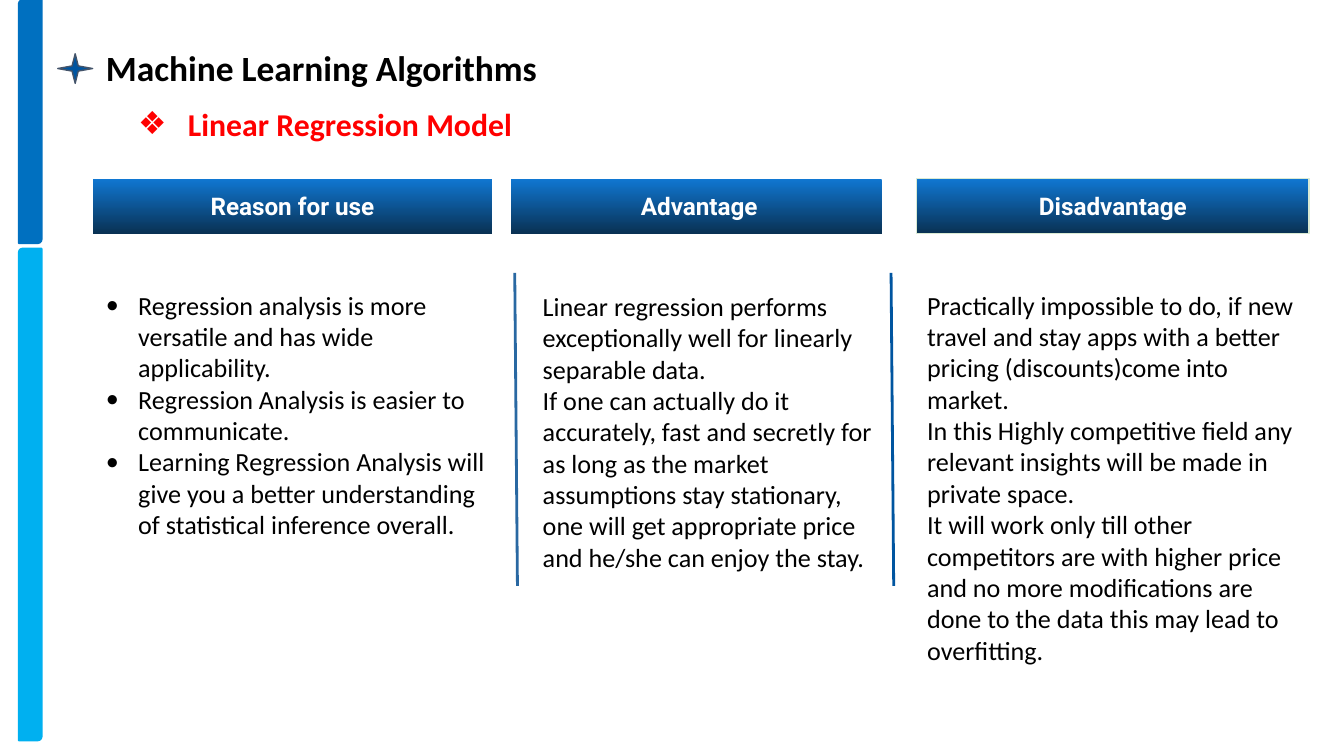
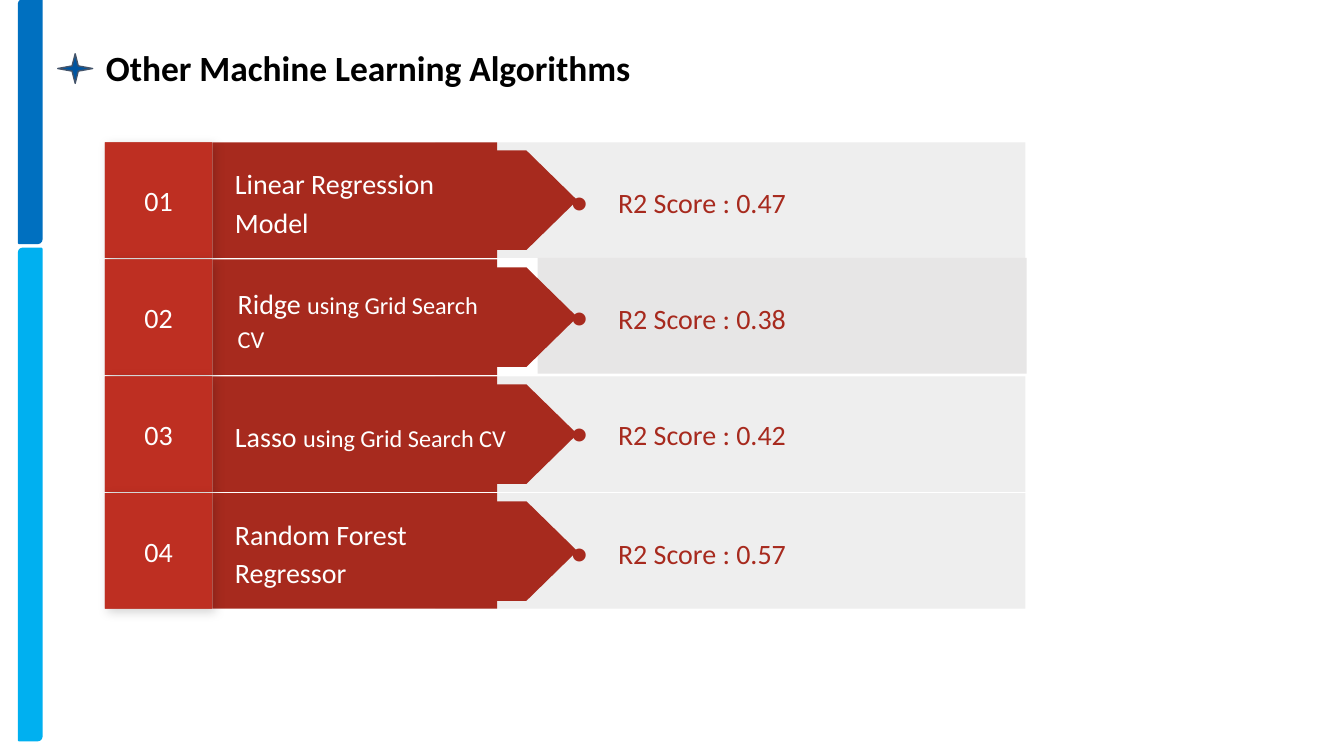
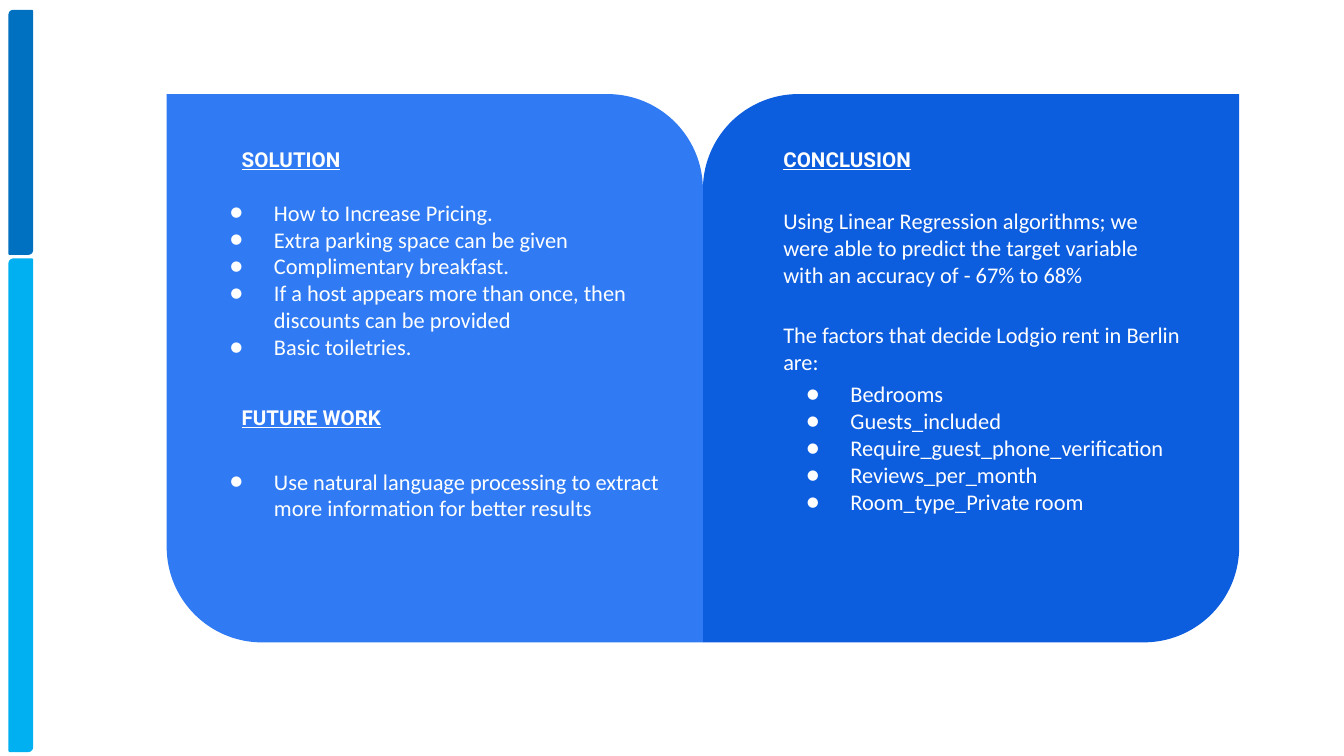
import pptx
import pptx.util
import pptx.dml.color
import pptx.enum.shapes
import pptx.enum.text
import pptx.oxml
import pptx.oxml.ns

Inches = pptx.util.Inches
Pt = pptx.util.Pt
RGB = pptx.dml.color.RGBColor
KIND = pptx.enum.shapes.MSO_SHAPE
ANCHOR = pptx.enum.text.MSO_ANCHOR
ALIGN = pptx.enum.text.PP_ALIGN

BLACK = RGB(0x00, 0x00, 0x00)
WHITE = RGB(0xFF, 0xFF, 0xFF)
RED = RGB(0xFF, 0x00, 0x00)
BLUE = RGB(0x00, 0x70, 0xC0)
CYAN = RGB(0x00, 0xB0, 0xF0)
NAVY = RGB(0x00, 0x55, 0xA0)
STEEL = RGB(0x29, 0x68, 0xA2)
SLATE = RGB(0x44, 0x54, 0x6A)
TOP = RGB(0x10, 0x77, 0xD2)
DEEP = RGB(0x09, 0x31, 0x53)
MINT = RGB(0xD9, 0xEA, 0xD3)
BRICK = RGB(0xA7, 0x2A, 0x1E)
RUST = RGB(0xB0, 0x2C, 0x20)
BRIGHT = RGB(0xBE, 0x2F, 0x22)
PALE = RGB(0xEE, 0xEE, 0xEE)
GREY = RGB(0xE7, 0xE6, 0xE6)
SKY = RGB(0x30, 0x7B, 0xF3)
ROYAL = RGB(0x0D, 0x5D, 0xDF)


def add_xml(parent, tag, body="", attrs=""):
    """Append one DrawingML element to a parent."""
    space = pptx.oxml.ns.nsdecls("a")
    parent.append(pptx.oxml.parse_xml(f"<a:{tag} {space} {attrs}>{body}</a:{tag}>"))


def add_mark(para, mark, color, hang):
    """Give a paragraph a hanging bullet."""
    props = para._p.get_or_add_pPr()
    left, first = hang
    props.set("marL", str(Inches(left)))
    props.set("indent", str(Inches(first)))
    add_xml(props, "buClr", f'<a:srgbClr val="{color}"/>')
    add_xml(props, "buFont", attrs='typeface="Calibri"')
    add_xml(props, "buChar", attrs=f'char="{mark}"')


def write(shape, paras, size=14, color=BLACK, font="Calibri", bold=False, under=False,
          align=ALIGN.LEFT, anchor=ANCHOR.TOP, lead=None, mark=None,
          hang=(0.5, -0.33), plain=0, gaps=None):
    """Fill a shape with paragraphs, each a string or a list of (text, size) runs."""
    frame = shape.text_frame
    frame.word_wrap = True
    frame.vertical_anchor = anchor
    frame.margin_left = frame.margin_right = Inches(0.1)
    frame.margin_top = frame.margin_bottom = Inches(0.1)
    for i, item in enumerate(paras):
        para = frame.paragraphs[0] if i == 0 else frame.add_paragraph()
        para.alignment = align
        if lead:
            para.line_spacing = lead
        if gaps and i in gaps:
            para.space_before = Pt(gaps[i])
        if mark and i >= plain:
            add_mark(para, mark, color, hang)
        for words, points in [(item, size)] if isinstance(item, str) else item:
            run = para.add_run()
            run.text = words
            run.font.name = font
            run.font.size = Pt(points)
            run.font.bold = bold
            run.font.underline = under
            run.font.color.rgb = color


def add_text(slide, box, paras, **form):
    """Add a text box."""
    write(slide.shapes.add_textbox(*map(Inches, box)), paras, **form)


def add_block(slide, kind, box, fill, line=None, width=1, adjust=()):
    """Add a flat preset shape; a list of two fills makes a downward gradient."""
    shape = slide.shapes.add_shape(kind, *map(Inches, box))
    shape.shadow.inherit = False
    if isinstance(fill, list):
        shape.fill.gradient()
        shape.fill.gradient_angle = 270
        for i, color in enumerate(fill):
            stop = shape.fill.gradient_stops[i]
            stop.color.rgb = color
            stop.position = i
    else:
        shape.fill.solid()
        shape.fill.fore_color.rgb = fill
    if line is None:
        shape.line.fill.background()
    else:
        shape.line.color.rgb = line
        shape.line.width = Pt(width)
    for i, value in enumerate(adjust):
        shape.adjustments[i] = value
    return shape


def add_line(slide, start, end, color):
    """Add a straight rule."""
    line = slide.shapes.add_connector(
        pptx.enum.shapes.MSO_CONNECTOR.STRAIGHT, *map(Inches, start + end))
    line.line.color.rgb = color
    line.line.width = Pt(1.5)
    add_xml(line._element.spPr, "effectLst")


def add_bars(slide, x, y):
    """Draw the two side bars."""
    for down, high, color in ((0, 1.81, BLUE), (1.85, 3.66, CYAN)):
        add_block(slide, KIND.ROUND_2_DIAG_RECTANGLE, (x, y + down, 0.17, high),
                  color, color, adjust=(0.167, 0))


def add_title(slide, title):
    """Draw the side bars, star and slide title."""
    add_bars(slide, 0.14, 0)
    add_text(slide, (0.69, 0.24, 6.46, 0.52), [title], size=19, bold=True)
    add_block(slide, KIND.STAR_4_POINT, (0.43, 0.4, 0.26, 0.22), NAVY, SLATE, 0.75, (0.125,))


def add_head(slide, x, wide, label, line=None):
    """Draw a column heading."""
    head = add_block(slide, KIND.RECTANGLE, (x, 1.33, wide, 0.41), [TOP, DEEP], line, 0.75)
    write(head, [label], size=13, color=WHITE, font="Roboto", bold=True,
          align=ALIGN.CENTER, anchor=ANCHOR.MIDDLE)


def make_model(slide):
    """Build the three-column model slide."""
    add_title(slide, "Machine Learning Algorithms")
    add_head(slide, 0.69, 2.97, "Reason for use")
    add_head(slide, 6.82, 2.92, "Disadvantage", MINT)
    add_head(slide, 3.8, 2.76, " Advantage")
    add_text(slide, (0.69, 2.05, 3.04, 2.24), [
        "Regression analysis is more versatile and has wide applicability.",
        "Regression Analysis is easier to communicate.",
        "Learning Regression Analysis will give you a better understanding of "
        "statistical inference overall.",
    ], mark="•", hang=(0.24, -0.24))
    add_text(slide, (3.94, 2.06, 2.76, 2.04), [
        "Linear regression performs exceptionally well for linearly separable data.",
        "If one can actually do it accurately, fast and secretly for as long as the "
        "market assumptions stay stationary, one will get appropriate price and "
        "he/she can enjoy the stay.",
    ])
    add_text(slide, (6.8, 2.05, 3.04, 2.69), [
        "Practically impossible to do, if new travel and stay apps with a better "
        "pricing (discounts)come into market.",
        "In this Highly competitive field any relevant insights will be made in "
        "private space.",
        "It will work only till other competitors are with higher price and no more "
        "modifications are done to the data this may lead to overfitting.",
    ])
    for x, color in ((6.63, NAVY), (3.83, STEEL)):
        add_line(slide, (x, 2.03), (x + 0.02, 4.36), color)
    add_text(slide, (0.8, 0.68, 6.25, 0.57), ["Linear Regression Model"], size=17,
             color=RED, bold=True, mark="❖", hang=(0.5, -0.37))


def add_row(slide, y, number, name, score, band=(3.24, 4.39, PALE), label=(1.65, 2.23), lift=0):
    """Draw one numbered row with its name and score."""
    high = 0.86
    left, wide, color = band
    top = y if color == PALE else y - lift
    add_block(slide, KIND.RECTANGLE, (left, top, wide, high), color)
    add_block(slide, KIND.RECTANGLE, (1.58, y, 2.12, high), BRICK)
    tip = add_block(slide, KIND.FLOWCHART_OFFPAGE_CONNECTOR,
                    (2.98, y + high / 2 - 0.945, 0.74, 1.89), BRICK)
    tip.rotation = 270
    add_text(slide, (label[0], y + 0.1, label[1], 0.66), [name], size=15, color=WHITE,
             anchor=ANCHOR.MIDDLE, lead=1.15)
    box = (0.78, y, 0.8, high)
    under = add_block(slide, KIND.RECTANGLE, box, RUST)
    effects = under._element.spPr.find(pptx.oxml.ns.qn("a:effectLst"))
    add_xml(effects, "outerShdw",
            '<a:srgbClr val="000000"><a:alpha val="17000"/></a:srgbClr>',
            f'blurRad="{Pt(5.6)}" dist="{Pt(2.2)}" dir="2700000"')
    write(add_block(slide, KIND.RECTANGLE, box, BRIGHT), [number], size=15, color=WHITE,
          align=ALIGN.CENTER, anchor=ANCHOR.MIDDLE)
    add_text(slide, (4, y - lift, 3.42, high), [f"R2 Score : {score}"], size=15, color=BRICK,
             anchor=ANCHOR.MIDDLE, lead=1.15, mark="●", hang=(0.5, -0.35))


def make_scores(slide):
    """Build the slide that compares model scores."""
    add_title(slide, "Other Machine Learning Algorithms")
    search = ("using Grid Search CV", 13)
    rows = (
        ("Linear Regression Model", "0.47", {}),
        ([("Ridge ", 15), search], "0.38",
         {"band": (4, 3.64, GREY), "label": (1.67, 2.18), "lift": 0.01}),
        ([("Lasso ", 15), search], "0.42", {"lift": 0.02}),
        ("Random Forest Regressor", "0.57", {}),
    )
    for i, (name, score, extra) in enumerate(rows):
        add_row(slide, 1.06 + 0.87 * i, f"{i + 1:02}", name, score, **extra)


def add_panel(slide, x, color, adjust):
    """Draw one half of the closing panel."""
    add_block(slide, KIND.ROUND_2_DIAG_RECTANGLE, (x, 0.7, 3.99, 4.08), color, adjust=adjust)


def add_part(slide, x, y, title, box, paras, **form):
    """Write an underlined heading and the text below it."""
    add_text(slide, (x, y, 2.98, 0.46), [title], size=11, color=WHITE, font="Roboto",
             bold=True, under=True)
    add_text(slide, box, paras, size=12, color=WHITE, mark="●", **form)


def make_close(slide):
    """Build the solution and conclusion slide."""
    add_bars(slide, 0.07, 0.08)
    add_panel(slide, 5.23, ROYAL, (0.178, 0))
    add_part(slide, 5.73, 1, "CONCLUSION", (5.73, 1.44, 3.16, 2.8), [
        "Using Linear Regression algorithms; we were able to predict the target "
        "variable with an accuracy of - 67% to 68%",
        "The factors that decide Lodgio rent in Berlin are:",
        "Bedrooms",
        "Guests_included",
        "Require_guest_phone_verification",
        "Reviews_per_month",
        "Room_type_Private room",
    ], plain=2, gaps={1: 18, 2: 3})
    add_panel(slide, 1.24, SKY, (0, 0.178))
    add_part(slide, 1.7, 1, "SOLUTION", (1.44, 1.38, 3.56, 1.5), [
        "How to Increase Pricing.",
        "Extra parking space can be given",
        "Complimentary breakfast.",
        "If a host appears more than once, then discounts can be provided",
        "Basic toiletries.",
    ])
    add_part(slide, 1.7, 2.92, "FUTURE WORK", (1.44, 3.38, 3.65, 1.01), [
        "Use natural language processing to extract more information for better results",
    ])


def main():
    """Build and save the deck."""
    deck = pptx.Presentation()
    deck.slide_width = Inches(10)
    deck.slide_height = deck.slide_width * 9 // 16
    for make in (make_model, make_scores, make_close):
        make(deck.slides.add_slide(deck.slide_layouts[6]))
    deck.save("out.pptx")


if __name__ == "__main__":
    main()
